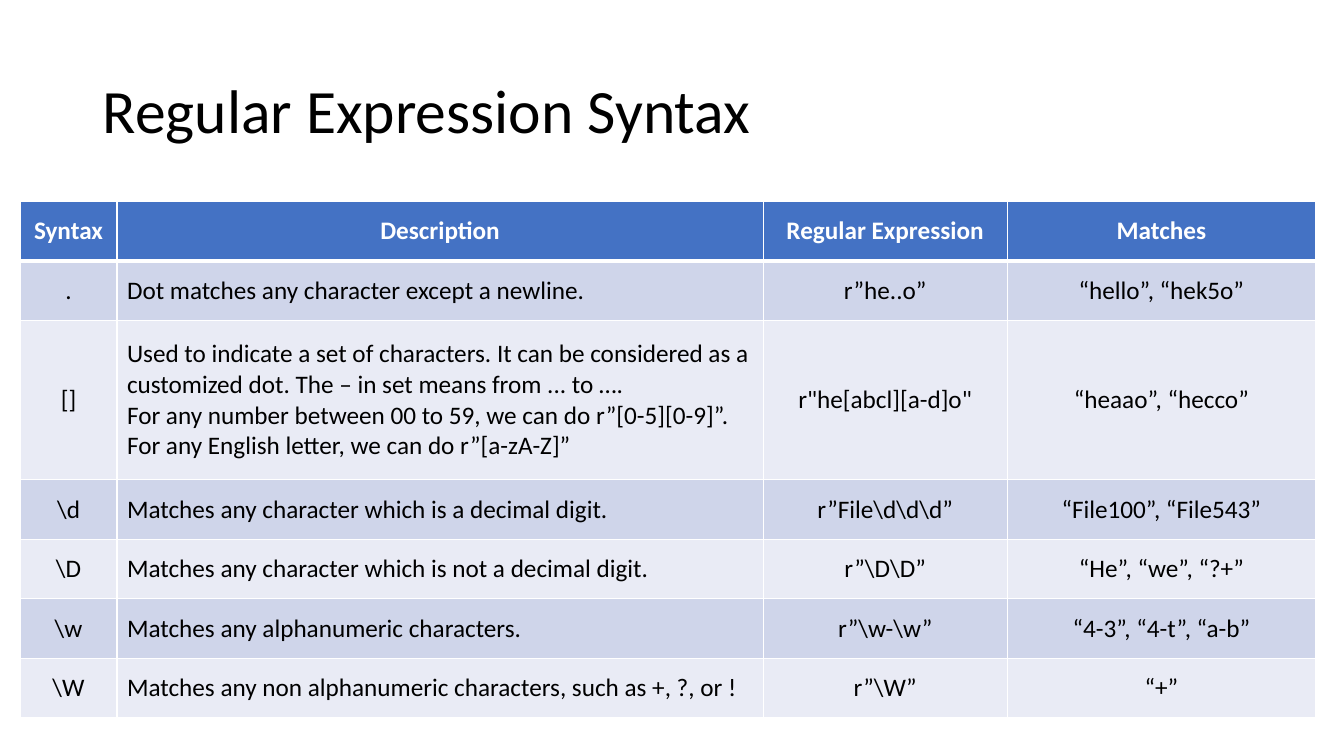
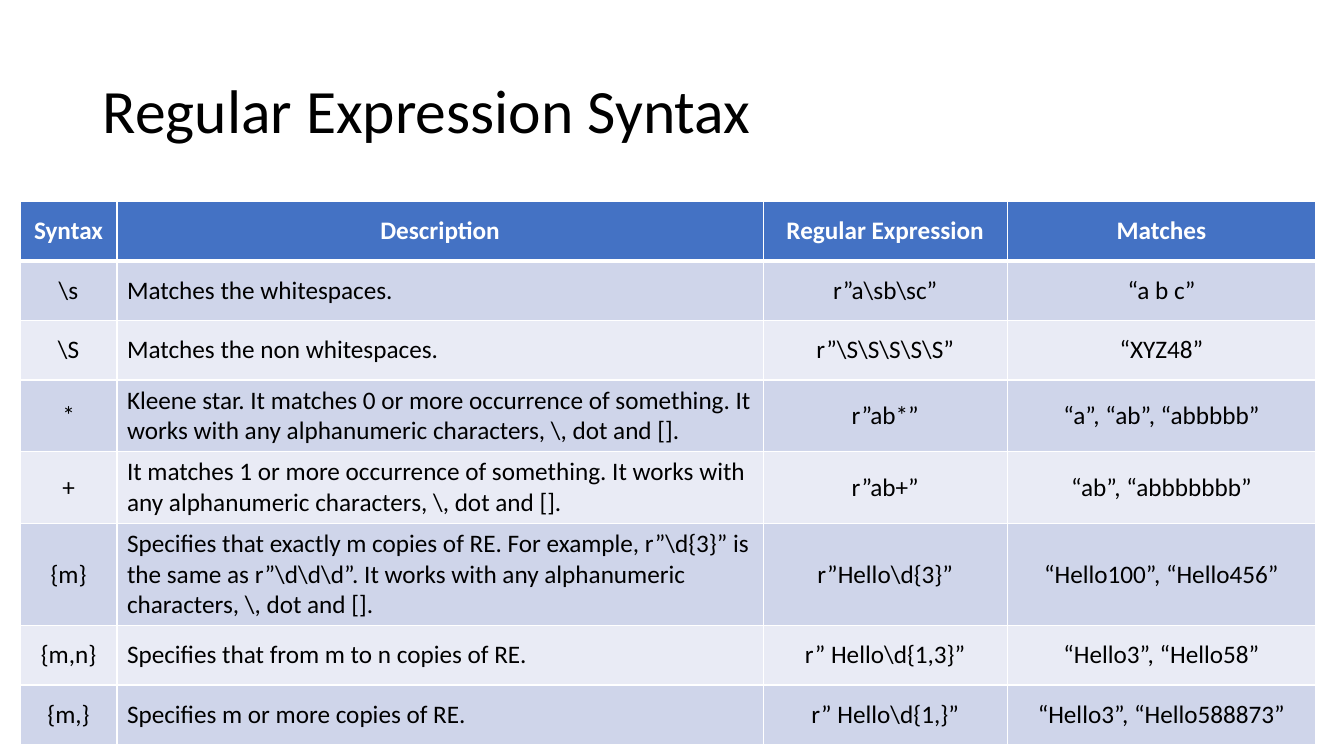
from pptx import Presentation
from pptx.dml.color import RGBColor
from pptx.enum.text import MSO_ANCHOR as Anchor, PP_ALIGN as Align
from pptx.oxml import parse_xml
from pptx.oxml.ns import nsdecls
from pptx.util import Pt

PX = 9144  # 100 px to the inch
SIZE = (1333, 750)
FONT = "Calibri"
BLACK, WHITE, BLUE = "000000", "FFFFFF", "4472C4"
BANDS = ("CFD5EA", "E9EBF5")

TITLE_BOX = (92, 40, 1150, 145)
TABLE_AT = (20, 200)
COLS = (96, 641, 242, 306)
ROW = 59
TITLE_FONT = {"name": FONT, "size": Pt(44), "bold": False}
HEAD_FONT = {"name": FONT, "size": Pt(18), "bold": True}
BODY_FONT = {**HEAD_FONT, "bold": False}

TITLE = "Regular Expression Syntax"
HEAD = ("Syntax", "Description", "Regular Expression", "Matches")

CLASSES = [
    (".", "Dot matches any character except a newline.", "r”he..o”", "“hello”, “hek5o”"),
    ("[]", "Used to indicate a set of characters. It can be considered as a customized dot. "
     "The – in set means from ... to ….\n"
     "For any number between 00 to 59, we can do r”[0-5][0-9]”. "
     "For any English letter, we can do r”[a-zA-Z]”",
     'r"he[abcl][a-d]o"', "“heaao”, “hecco”"),
    (r"\d", "Matches any character which is a decimal digit.",
     r"r”File\d\d\d”", "“File100”, “File543”"),
    (r"\D", "Matches any character which is not a decimal digit.",
     r"r”\D\D”", "“He”, “we”, “?+”"),
    (r"\w", "Matches any alphanumeric characters.", r"r”\w-\w”", "“4-3”, “4-t”, “a-b”"),
    (r"\W", "Matches any non alphanumeric characters, such as +, ?, or !", r"r”\W”", "“+”"),
]

SCOPE = r"any alphanumeric characters, \, dot and []."
REPEATS = [
    (r"\s", "Matches the whitespaces.", r"r”a\sb\sc”", "“a b c”"),
    (r"\S", "Matches the non whitespaces.", r"r”\S\S\S\S\S”", "“XYZ48”"),
    ("*", f"Kleene star. It matches 0 or more occurrence of something. It works with {SCOPE}",
     "r”ab*”", "“a”, “ab”, “abbbbb”"),
    ("+", f"It matches 1 or more occurrence of something. It works with {SCOPE}",
     "r”ab+”", "“ab”, “abbbbbbb”"),
    ("{m}", r"Specifies that exactly m copies of RE. For example, r”\d{3}” is the same as "
     rf"r”\d\d\d”. It works with {SCOPE}",
     r"r”Hello\d{3}”", "“Hello100”, “Hello456”"),
    ("{m,n}", "Specifies that from m to n copies of RE.",
     r"r” Hello\d{1,3}”", "“Hello3”, “Hello58”"),
    ("{m,}", "Specifies m or more copies of RE.", r"r” Hello\d{1,}”", "“Hello3”, “Hello588873”"),
]


def px(*nums):
    return [num * PX for num in nums]


def paint(fill, color):
    fill.solid()
    fill.fore_color.rgb = RGBColor.from_string(color)


def style(para, font, color, align):
    para.alignment = align
    for key, value in font.items():
        setattr(para.font, key, value)
    paint(para.font.fill, color)


def add_title(slide, text, box):
    title = slide.shapes.title
    title.left, title.top, title.width, title.height = px(*box)
    frame = title.text_frame
    frame.text = text
    frame.vertical_anchor = Anchor.MIDDLE
    para = frame.paragraphs[0]
    para.line_spacing = 0.9
    style(para, TITLE_FONT, BLACK, Align.LEFT)


def edge(cell, row):
    """Draw white cell borders, with a thick rule under the header."""
    widths = {"L": 1, "R": 1, "T": 3 if row == 1 else 1, "B": 3 if row == 0 else 1}
    props = cell._tc.get_or_add_tcPr()
    for side, width in widths.items():
        props.append(parse_xml(
            f'<a:ln{side} {nsdecls("a")} w="{Pt(width)}"><a:solidFill>'
            f'<a:srgbClr val="{WHITE}"/></a:solidFill></a:ln{side}>'))


def fill_cell(cell, text, row, col):
    head = row == 0
    para = cell.text_frame.paragraphs[0]
    para.text = text
    align = Align.LEFT if col == 1 and not head else Align.CENTER
    style(para, HEAD_FONT if head else BODY_FONT, WHITE if head else BLACK, align)
    cell.vertical_anchor = Anchor.MIDDLE
    edge(cell, row)
    paint(cell.fill, BLUE if head else BANDS[(row - 1) % 2])


def add_grid(slide, rows, at, tall):
    """Place the table; tall maps a row number to a height other than ROW."""
    rows = [HEAD, *rows]
    highs = [tall.get(row, ROW) for row in range(len(rows))]
    box = px(*at, sum(COLS), sum(highs))
    grid = slide.shapes.add_table(len(rows), len(COLS), *box).table
    for col, width in zip(grid.columns, px(*COLS)):
        col.width = width
    for line, high in zip(grid.rows, px(*highs)):
        line.height = high
    for row, texts in enumerate(rows):
        for col, text in enumerate(texts):
            fill_cell(grid.cell(row, col), text, row, col)


def add_page(deck, rows, tall):
    slide = deck.slides.add_slide(deck.slide_layouts.get_by_name("Title Only"))
    paint(slide.background.fill, WHITE)
    add_title(slide, TITLE, TITLE_BOX)
    add_grid(slide, rows, TABLE_AT, tall)


def main():
    deck = Presentation()
    deck.slide_width, deck.slide_height = px(*SIZE)
    add_page(deck, CLASSES, {2: 158})
    add_page(deck, REPEATS, {})
    deck.save("out.pptx")


if __name__ == "__main__":
    main()
